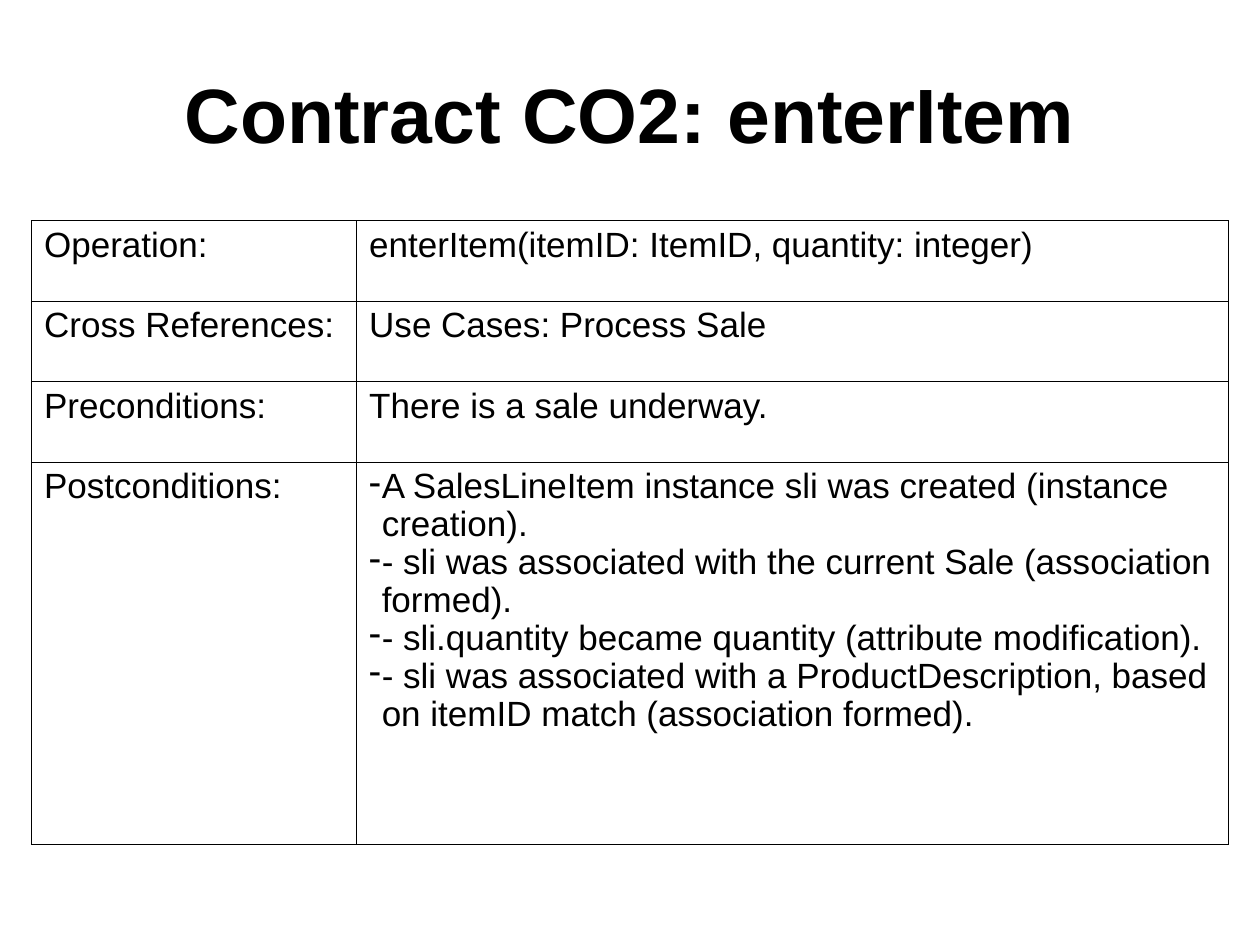
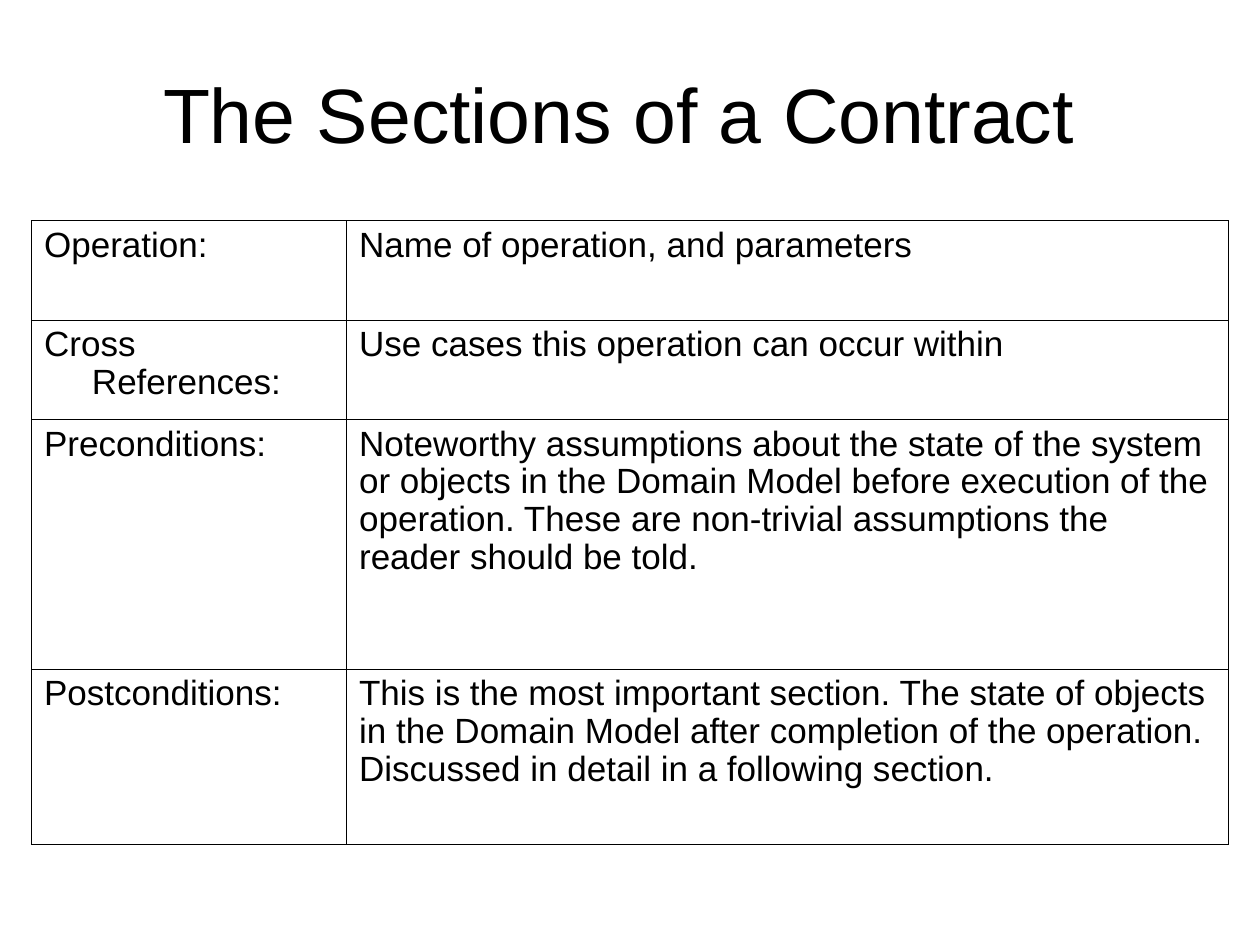
from lxml import etree
from pptx import Presentation
from pptx.dml.color import RGBColor
from pptx.enum.text import MSO_ANCHOR, PP_ALIGN
from pptx.oxml.ns import qn
from pptx.util import Inches, Pt

CENTER, MIDDLE = PP_ALIGN.CENTER, MSO_ANCHOR.MIDDLE

# Content: each row holds label, paragraphs, paragraph style and height
CONTRACTS = [
    {
        "title": "Contract CO2: enterItem",
        "bold": True,
        "label_width": 2.58,
        "rows": [
            ("Operation:", ["enterItem(itemID: ItemID, quantity: integer)"], "hanging", 0.64),
            ("Cross References:", ["Use Cases: Process Sale"], "hanging", 0.64),
            ("Preconditions:", ["There is a sale underway."], "hanging", 0.64),
            ("Postconditions:", [
                "A SalesLineItem instance sli was created (instance creation).",
                "- sli was associated with the current Sale (association formed).",
                "- sli.quantity became quantity (attribute modification).",
                "- sli was associated with a ProductDescription, based on itemID "
                "match (association formed).",
            ], "dashed", 3.03),
        ],
    },
    {
        "title": "The Sections of a Contract ",
        "bold": False,
        "label_width": 2.5,
        "rows": [
            ("Operation:", ["Name of operation, and parameters"], "hanging", 0.79),
            ("Cross References:", ["Use cases this operation can occur within"], "hanging", 0.79),
            ("Preconditions:", [
                "Noteworthy assumptions about the state of the system or objects in the "
                "Domain Model before execution of the operation. These are non-trivial "
                "assumptions the reader should be told.",
            ], "plain", 1.98),
            ("Postconditions:", [
                "This is the most important section. The state of objects in the Domain "
                "Model after completion of the operation. Discussed in detail in a "
                "following section.",
            ], "plain", 1.39),
        ],
    },
]

# Shared look
INK = "000000"
TITLE_BOX = (0.5, 0.3, 9, 1.25)
TABLE_LEFT, TABLE_TOP, TABLE_WIDTH = 0.25, 1.75, 9.5
INDENTS = {"hanging": 0.38, "dashed": 0.1, "plain": 0}
CELL_FORMAT = {
    "margin_left": Inches(0.1), "margin_right": Inches(0.1),
    "margin_top": Inches(0.05), "margin_bottom": Inches(0.05),
}
BORDER_WIDTH = Pt(0.45)
LINE_SPACING = 0.97


def color(value):
    return RGBColor.from_string(value)


def set_font(paragraph, size, bold=False):
    formats = {"name": "Arial", "size": Pt(size), "bold": bold}
    for key, value in formats.items():
        setattr(paragraph.font, key, value)
    paragraph.font.color.rgb = color(INK)


def add_title(slide, title, bold):
    frame = slide.shapes.add_textbox(*map(Inches, TITLE_BOX)).text_frame
    frame.word_wrap = True
    frame.vertical_anchor = MIDDLE
    heading = frame.paragraphs[0]
    heading.text = title
    heading.alignment = CENTER
    heading.line_spacing = LINE_SPACING
    set_font(heading, 44, bold)


def style_paragraph(paragraph, style):
    properties = paragraph._p.get_or_add_pPr()
    indent = Inches(INDENTS[style])
    properties.set("marL", str(indent))
    properties.set("indent", str(-indent))
    if style == "dashed":
        bullet_color = etree.SubElement(properties, qn("a:buClr"))
        etree.SubElement(bullet_color, qn("a:srgbClr"), val=INK)
        etree.SubElement(properties, qn("a:buChar"), char="-")
    paragraph.line_spacing = LINE_SPACING
    set_font(paragraph, 20)


def add_borders(cell):
    properties = cell._tc.get_or_add_tcPr()
    for position, side in enumerate(("lnL", "lnR", "lnT", "lnB")):
        border = etree.Element(qn(f"a:{side}"), w=str(BORDER_WIDTH))
        fill = etree.SubElement(border, qn("a:solidFill"))
        etree.SubElement(fill, qn("a:srgbClr"), val=INK)
        properties.insert(position, border)


def fill_cell(cell, texts, style):
    for key, value in CELL_FORMAT.items():
        setattr(cell, key, value)
    cell.text = "\n".join(texts)
    for paragraph in cell.text_frame.paragraphs:
        style_paragraph(paragraph, style)
    cell.fill.background()
    add_borders(cell)


def add_sections(slide, rows, label_width):
    height = sum(row[-1] for row in rows)
    box = map(Inches, (TABLE_LEFT, TABLE_TOP, TABLE_WIDTH, height))
    table = slide.shapes.add_table(len(rows), 2, *box).table
    table.first_row = table.horz_banding = False
    for column, width in zip(table.columns, (label_width, TABLE_WIDTH - label_width)):
        column.width = Inches(width)
    for index, (label, texts, style, row_height) in enumerate(rows):
        table.rows[index].height = Inches(row_height)
        fill_cell(table.cell(index, 0), [label], "hanging")
        fill_cell(table.cell(index, 1), texts, style)


def main():
    deck = Presentation()
    deck.slide_width, deck.slide_height = Inches(10), Inches(7.5)
    blank = deck.slide_layouts[6]
    for contract in CONTRACTS:
        slide = deck.slides.add_slide(blank)
        add_title(slide, contract["title"], contract["bold"])
        add_sections(slide, contract["rows"], contract["label_width"])
    deck.save("out.pptx")


if __name__ == "__main__":
    main()
